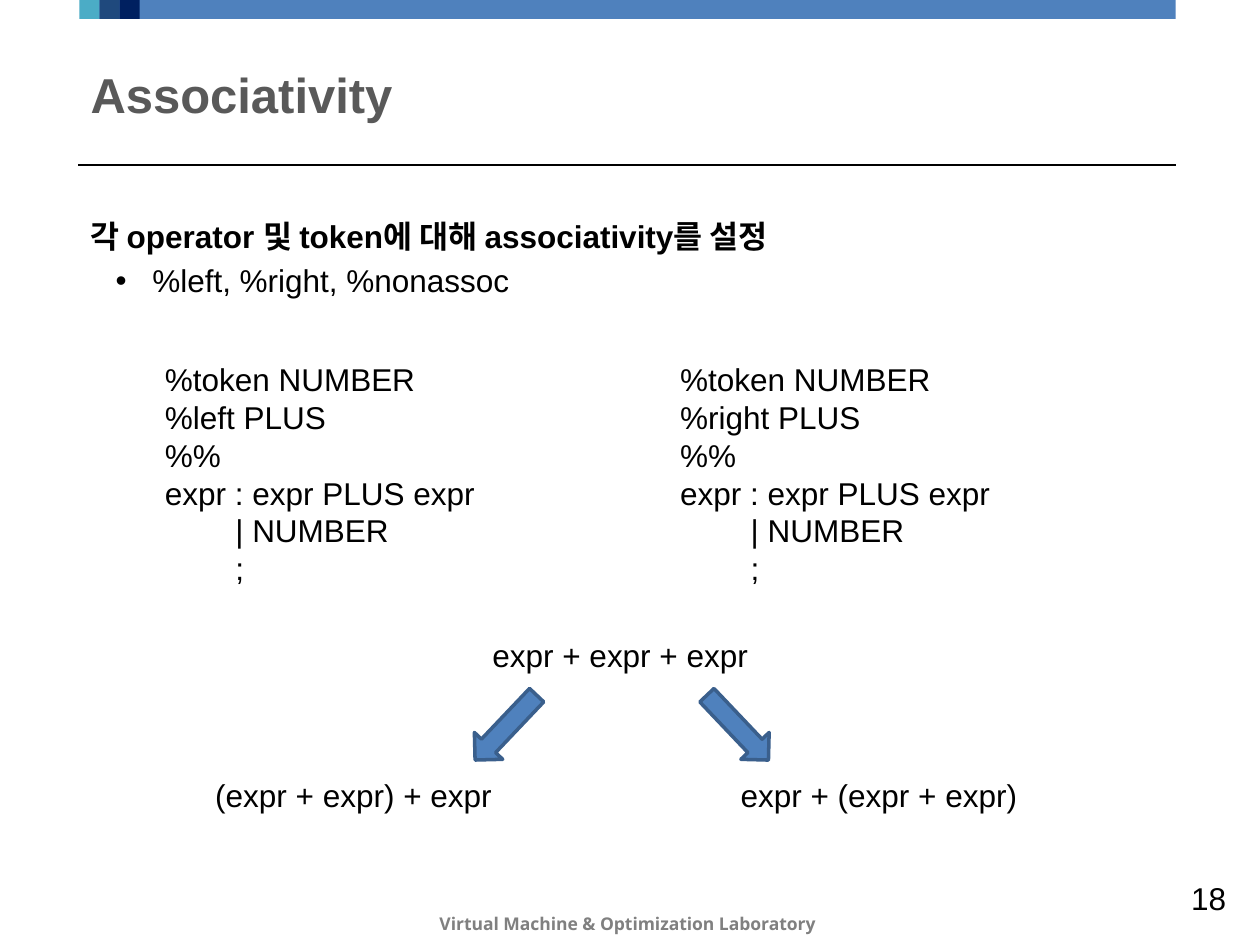
from lxml.etree import SubElement
from pptx import Presentation
from pptx.dml.color import RGBColor
from pptx.enum.shapes import MSO_CONNECTOR, MSO_SHAPE
from pptx.enum.text import MSO_ANCHOR as ANCHOR, PP_ALIGN as ALIGN
from pptx.oxml.ns import qn
from pptx.util import Inches, Pt

COLORS = {"text": "000000", "title": "595959", "footer": "808080",
          "blue": "4F81BD", "edge": "3A5F8C", "navy": "002060",
          "dark": "1F497D", "teal": "4BACC6"}

TITLE = "Associativity"
HEADING = "각 operator 및 token에 대해 associativity를 설정"
BULLET = "%left, %right, %nonassoc"
FOOTER = "Virtual Machine & Optimization Laboratory"
PAGE_NUMBER = "18"

GRAMMAR_COLUMNS = [(1.21, "%left PLUS"), (5.3, "%right PLUS")]
RULE_INDENT = 0.56
EXPRESSIONS = [  # text, left, top, width
    ("expr + expr + expr", 3.81, 5, 2.29),
    ("(expr + expr) + expr", 1.61, 6.11, 2.61),
    ("expr + (expr + expr)", 5.78, 6.11, 2.53),
]
ARROWS = [(3.86, 43.5), (5.7, 316.5)]  # left, rotation
SQUARE = 0.16
SQUARES = ["teal", "dark", "navy"]


def rgb(name):
    """Return the named colour."""
    return RGBColor.from_string(COLORS[name])


def add_text(slide, box, lines, size=18, color="text", bold=False,
             font="Arial", align=ALIGN.LEFT, anchor=ANCHOR.TOP, wrap=True):
    """Add a text box of (text, indent) lines and return its paragraphs."""
    frame = slide.shapes.add_textbox(*map(Inches, box)).text_frame
    frame.word_wrap = wrap
    frame.vertical_anchor = anchor
    for index, (text, indent) in enumerate(lines):
        paragraph = frame.add_paragraph() if index else frame.paragraphs[0]
        paragraph.alignment = align
        if indent:
            paragraph._p.get_or_add_pPr().set("marL", str(Inches(indent)))
        run = paragraph.add_run()
        run.text = text
        run.font.size = Pt(size)
        run.font.name = font
        run.font.bold = bold
        run.font.color.rgb = rgb(color)
    return frame.paragraphs


def add_filled(slide, kind, box, color, edge=None):
    """Add a filled preset shape, outlined only when an edge is named."""
    shape = slide.shapes.add_shape(kind, *map(Inches, box))
    shape.shadow.inherit = False
    shape.fill.solid()
    shape.fill.fore_color.rgb = rgb(color)
    if edge:
        shape.line.color.rgb = rgb(edge)
        shape.line.width = Pt(2)
    else:
        shape.line.fill.background()
    return shape


def add_frame(slide):
    """Add the top band, title rule, footer and page number."""
    add_filled(slide, MSO_SHAPE.RECTANGLE, (0.65, -0.01, 8.68, SQUARE), "blue")
    for index, color in enumerate(SQUARES):
        add_filled(slide, MSO_SHAPE.RECTANGLE,
                   (0.63 + index * SQUARE, -0.01, SQUARE, SQUARE), color)
    rule = slide.shapes.add_connector(
        MSO_CONNECTOR.STRAIGHT, *map(Inches, (0.62, 1.31, 9.33, 1.31)))
    rule.line.color.rgb = rgb("text")
    rule.line.width = Pt(0.75)
    SubElement(rule._element.spPr, qn("a:effectLst"))
    add_text(slide, (2.93, 7.2, 4.1, 0.27), [(FOOTER, 0)], size=10,
             color="footer", bold=True, font="Noto Sans", align=ALIGN.CENTER)
    add_text(slide, (9.33, 6.93, 0.5, 0.4), [(PAGE_NUMBER, 0)],
             align=ALIGN.RIGHT, anchor=ANCHOR.MIDDLE, wrap=False)


def add_body(slide):
    """Add the title, the heading and its bullet."""
    add_text(slide, (0.62, 0.37, 8.71, 0.75), [(TITLE, 0)], size=28,
             color="title", bold=True, anchor=ANCHOR.MIDDLE)
    heading, bullet = add_text(slide, (0.62, 1.67, 8.71, 0.8),
                               [(HEADING, 0), (BULLET, 0.49)])
    heading.runs[0].font.bold = True
    heading.space_before = bullet.space_before = Pt(4)
    properties = bullet._p.get_or_add_pPr()
    properties.set("indent", str(Inches(-0.29)))
    SubElement(properties, qn("a:buFont"), typeface="Arial")
    SubElement(properties, qn("a:buChar"), char="•")


def add_example(slide):
    """Add both grammars and how each one groups the expression."""
    for left, rule in GRAMMAR_COLUMNS:
        add_text(slide, (left, 2.81, 4.09, 1.92), [
            ("%token NUMBER", 0), (rule, 0), ("%%", 0),
            ("expr : expr PLUS expr", 0),
            ("| NUMBER", RULE_INDENT), (";", RULE_INDENT)])
    for text, left, top, width in EXPRESSIONS:
        add_text(slide, (left, top, width, 0.4), [(text, 0)])
    for left, rotation in ARROWS:
        arrow = add_filled(slide, MSO_SHAPE.DOWN_ARROW,
                           (left, 5.42, 0.31, 0.71), "blue", "edge")
        arrow.rotation = rotation


presentation = Presentation()
presentation.slide_width = Inches(10)
presentation.slide_height = Inches(7.5)
slide = presentation.slides.add_slide(presentation.slide_layouts[6])
add_frame(slide)
add_body(slide)
add_example(slide)
presentation.save("out.pptx")
